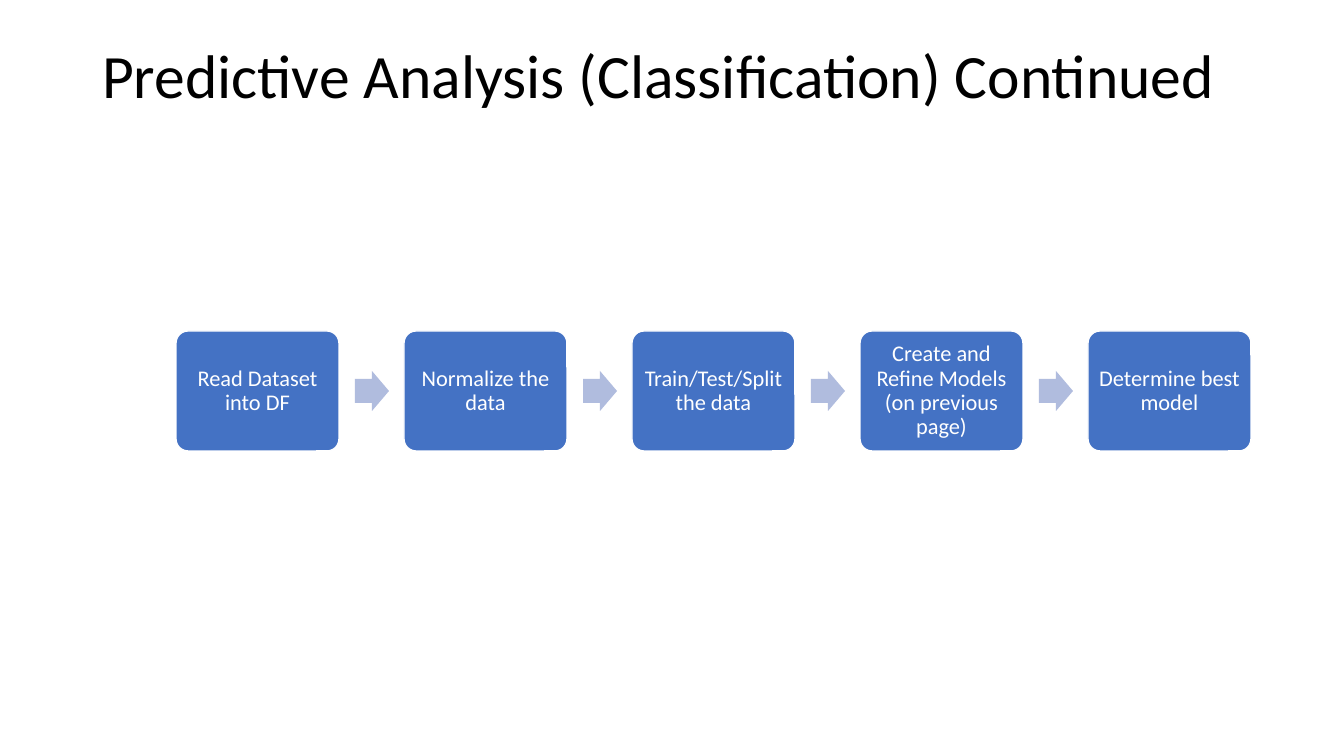
from dataclasses import dataclass

from pptx import Presentation
from pptx.dml.color import RGBColor
from pptx.enum.shapes import MSO_SHAPE
from pptx.enum.text import MSO_ANCHOR, MSO_AUTO_SIZE, PP_ALIGN
from pptx.util import Pt

ROUNDED = MSO_SHAPE.ROUNDED_RECTANGLE
RIGHT_ARROW = MSO_SHAPE.RIGHT_ARROW
TOP, MIDDLE = MSO_ANCHOR.TOP, MSO_ANCHOR.MIDDLE
LEFT, CENTER = PP_ALIGN.LEFT, PP_ALIGN.CENTER
NO_AUTOFIT = MSO_AUTO_SIZE.NONE

SLIDE_W, SLIDE_H = 1344, 756
EMU_PER_PX = 12192000 / SLIDE_W
TITLE_ONLY = 5

TITLE = "Predictive Analysis (Classification) Continued"
STEPS = [
    "Read Dataset into DF",
    "Normalize the data",
    "Train/Test/Split the data",
    "Create and Refine Models (on previous page)",
    "Determine best model",
]
STEP_LEFT, STEP_TOP, STEP_W, STEP_H = 176, 331, 163, 120
STEP_PITCH = 228
STEP_INSET = 7
ARROW_W, ARROW_H = 34, 40
ARROW_OFFSET = 179


@dataclass(frozen=True)
class Theme:
    font: str = "Calibri"
    title_size: int = 44
    step_size: int = 16
    title: RGBColor = RGBColor(0x00, 0x00, 0x00)
    step: RGBColor = RGBColor(0x44, 0x72, 0xC4)
    arrow: RGBColor = RGBColor(0xB0, 0xBC, 0xDE)
    white: RGBColor = RGBColor(0xFF, 0xFF, 0xFF)


THEME = Theme()


def px(length):
    return round(length * EMU_PER_PX)


def write(frame, text, size, color, align, anchor):
    frame.word_wrap = True
    frame.auto_size = NO_AUTOFIT
    frame.vertical_anchor = anchor
    frame.text = text
    paragraph = frame.paragraphs[0]
    paragraph.alignment = align
    paragraph.line_spacing = 0.9
    paragraph.font.name = THEME.font
    paragraph.font.size = Pt(size)
    paragraph.font.color.rgb = color


def set_title(slide):
    title = slide.shapes.title
    title.left, title.top = px(92), px(40)
    title.width, title.height = px(1159), px(146)
    write(title.text_frame, TITLE, THEME.title_size, THEME.title, LEFT, TOP)


def add_filled_shape(slide, preset, left, top, width, height, color):
    shape = slide.shapes.add_shape(preset, px(left), px(top), px(width), px(height))
    shape.shadow.inherit = False
    shape.fill.solid()
    shape.fill.fore_color.rgb = color
    return shape


def add_step(slide, left, label):
    step = add_filled_shape(slide, ROUNDED, left, STEP_TOP, STEP_W, STEP_H, THEME.step)
    step.adjustments[0] = 0.1
    step.line.color.rgb = THEME.white
    step.line.width = Pt(1)
    frame = step.text_frame
    frame.margin_left = frame.margin_right = px(STEP_INSET)
    frame.margin_top = frame.margin_bottom = px(STEP_INSET)
    write(frame, label, THEME.step_size, THEME.white, CENTER, MIDDLE)


def add_arrow(slide, left):
    top = STEP_TOP + (STEP_H - ARROW_H) // 2
    arrow = add_filled_shape(slide, RIGHT_ARROW, left, top, ARROW_W, ARROW_H, THEME.arrow)
    arrow.adjustments[0] = 0.6
    arrow.adjustments[1] = 0.5
    arrow.line.fill.background()


def add_process(slide):
    for index, label in enumerate(STEPS):
        left = STEP_LEFT + index * STEP_PITCH
        add_step(slide, left, label)
        if index < len(STEPS) - 1:
            add_arrow(slide, left + ARROW_OFFSET)


def main():
    deck = Presentation()
    deck.slide_width, deck.slide_height = px(SLIDE_W), px(SLIDE_H)
    slide = deck.slides.add_slide(deck.slide_layouts[TITLE_ONLY])
    set_title(slide)
    add_process(slide)
    deck.save("out.pptx")


if __name__ == "__main__":
    main()
